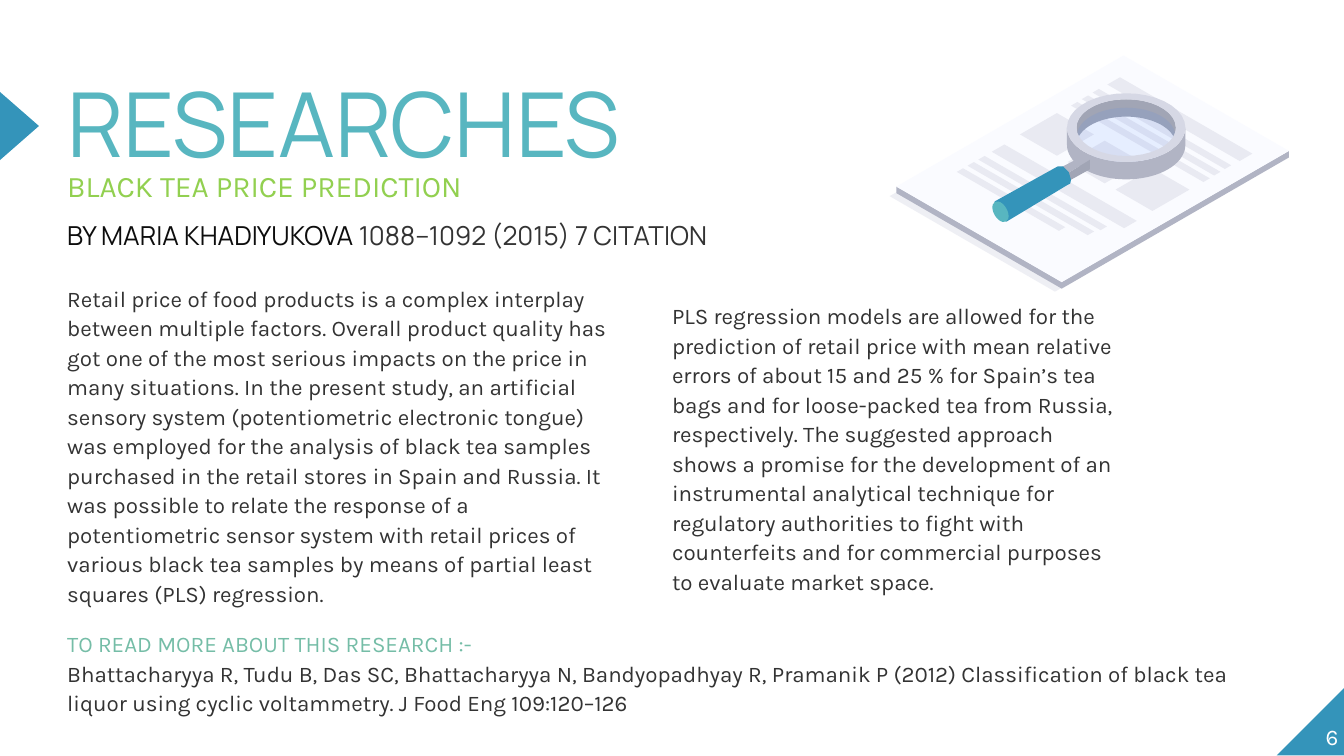
import math

import pptx
import pptx.dml.color
import pptx.enum.shapes
import pptx.enum.text
import pptx.oxml
import pptx.util
from pptx.util import Pt

COLORS = {
    "blue": "3494BA", "teal": "58B6C0", "lime": "92D050", "mint": "75BDA7",
    "black": "0D0D0D", "text": "333333", "white": "FFFFFF", "paper": "FAFBFF",
    "print": "E9EAF2", "rim": "D6D8E5", "edge": "B1B4C4", "shade": "A1A5B5",
    "glass": "3E7EFF",
}
MSO = pptx.enum.shapes.MSO_SHAPE
SLOPE = math.tan(math.radians(30))


def paint(sp, color, alpha=None):
    """Give a shape a plain fill with no line or shadow."""
    sp.shadow.inherit = False
    sp.line.fill.background()
    sp.fill.solid()
    sp.fill.fore_color.rgb = pptx.dml.color.RGBColor.from_string(COLORS[color])
    if alpha is not None:
        clr = sp.fill._xPr.find(".//" + pptx.oxml.ns.qn("a:srgbClr"))
        pptx.oxml.ns.qn("a:alpha")
        clr.append(pptx.oxml.parse_xml(
            f'<a:alpha {pptx.oxml.ns.nsdecls("a")} val="{alpha * 1000}"/>'))


def preset(s, kind, x, y, w, h, color, alpha=None, rotation=0):
    """Add a filled preset shape."""
    sp = s.shapes.add_shape(kind, Pt(x), Pt(y), Pt(w), Pt(h))
    sp.rotation = rotation
    paint(sp, color, alpha)
    return sp


def outline(s, x, y, contours, color, alpha=None):
    """Add a filled freeform whose contours are relative to x, y."""
    fb = None
    for contour in contours:
        pts = [(Pt(x + px), Pt(y + py)) for px, py in contour]
        if fb is None:
            fb = s.shapes.build_freeform(*pts[0], scale=1.0)
        else:
            fb.move_to(*pts[0])
        fb.add_line_segments(pts[1:], close=True)
    paint(fb.convert_to_shape(), color, alpha)


def iso(x, y, along, across):
    """Return an isometric parallelogram starting at its left corner."""
    return [(x, y), (x + across, y - across * SLOPE),
            (x + across + along, y + (along - across) * SLOPE),
            (x + along, y + along * SLOPE)]


def arc(cx, cy, rx, ry, start, end):
    """Return points along an ellipse between two angles in degrees."""
    n = 36
    angles = [math.radians(start + (end - start) * i / n) for i in range(n + 1)]
    return [(cx + rx * math.cos(a), cy + ry * math.sin(a)) for a in angles]


def text(s, x, y, w, h, paras, size=12, font="Karla", color="text", line=None,
         before=0, align="LEFT", anchor="TOP"):
    """Add a text box; each paragraph is a list of (text, format) runs."""
    tf = s.shapes.add_textbox(Pt(x), Pt(y), Pt(w), Pt(h)).text_frame
    tf.word_wrap = True
    tf.margin_left = tf.margin_right = tf.margin_top = tf.margin_bottom = 0
    tf.vertical_anchor = getattr(pptx.enum.text.MSO_ANCHOR, anchor)
    for i, runs in enumerate(paras):
        p = tf.add_paragraph() if i else tf.paragraphs[0]
        p.alignment = getattr(pptx.enum.text.PP_ALIGN, align)
        p.line_spacing = line
        p.space_before = Pt(runs[0][1].get("before", before))
        for content, fmt in runs:
            r = p.add_run()
            r.text = content
            r.font.size = Pt(fmt.get("size", size))
            r.font.name = fmt.get("font", font)
            r.font.color.rgb = pptx.dml.color.RGBColor.from_string(
                COLORS[fmt.get("color", color)])


def heading(s, x, y, w, h):
    """Place the title, its subtitle and the author line."""
    text(s, x, y, w, h, [
        [("RESEARCHES", {"size": 48, "font": "Manrope", "color": "teal"})],
        [("BLACK TEA PRICE PREDICTION", {"size": 16, "color": "lime"})],
        [("BY MARIA KHADIYUKOVA ", {"color": "black", "before": 12}),
         ("1088–1092 (2015) 7 CITATION", {})],
    ], size=14, font="Manrope", line=0.8)
    s.shapes[-1].text_frame.paragraphs[1].runs[0].font.name = "Karla"


def column(s, x, y, w, h, content):
    """Place one column of body text."""
    text(s, x, y, w, h, [[(content, {})]], line=1.1, before=6)


def reference(s, x, y, w, h):
    """Place the further reading note."""
    text(s, x, y, w, h, [
        [("TO READ MORE ABOUT THIS RESEARCH :-", {"color": "mint"})],
        [("Bhattacharyya R, Tudu B, Das SC, Bhattacharyya N, Bandyopadhyay R, "
          "Pramanik P (2012) Classification of black tea liquor using cyclic "
          "voltammetry. J Food Eng 109:120–126", {})],
    ], line=1.1)


def corner(s, x, y, size):
    """Place the page number on its corner triangle."""
    sp = preset(s, MSO.RIGHT_TRIANGLE, x, y, size, size, "blue")
    sp._element.spPr.get_or_add_xfrm().set("flipH", "1")
    text(s, x - 3, y - 3, 36, size, [[("6", {"color": "white"})]],
         align="RIGHT", anchor="BOTTOM")


def sheet(s, x, y):
    """Draw the printed sheet lying in isometric view."""
    outline(s, x, y, [iso(0, 74.9, 88.6, 121.7)], "rim", 40)
    left, front, _, _ = iso(3.6, 69.8, 88.6, 121.7)
    paper = iso(*left, 88.6, 121.7)
    rim = [paper[0], paper[3], paper[2]]
    outline(s, x, y, [rim + [(px, py + 3.5) for px, py in reversed(rim)]], "edge")
    outline(s, x, y, [paper], "paper")
    bars = [(116.6, 15.1, 70.9, 6.8), (54.7, 51.1, 70.9, 6.8)]
    bars += [(108.7 - 5.75 * i, 19.4 + 3.5 * i, 70.9, 3.4) for i in range(3)]
    bars += [(47.5 - 5.75 * i, 55.3 + 3.3 * i, length, 3.4)
             for i, length in enumerate((65.5, 64.4, 54.7))]
    bars += [(69.8 + 25.6 * i, 41.8 + 14.8 * i, 19.8, 19.8) for i in range(3)]
    for bar in bars:
        outline(s, x, y, [iso(*bar)], "print")


def magnifier(s, x, y):
    """Draw the magnifying glass around its lens centre."""
    outer, inner, depth = (31.7, 18.4), (26.6, 15.2), 9.3
    outline(s, x, y, [arc(0, 0, *inner, 180, 360)
                      + arc(0, depth, *inner, 360, 180)], "shade")
    preset(s, MSO.OVAL, x - 26.3, y - 10.7, 52.6, 30.2, "glass", 10)
    outline(s, x, y, [arc(0, depth, *outer, 0, 180)
                      + arc(0, 0, *outer, 180, 0)], "edge")
    outline(s, x, y, [arc(0, 0, *outer, 0, 360),
                      arc(0, 0, *inner, 360, 0)], "rim")
    outline(s, x, y, [[(-19.4, 17.2), (-32.4, 25.2), (-36.7, 22.3),
                       (-23, 15.1)]], "edge")
    outline(s, x, y, [[(-19.4, 22.3), (-32.4, 29.5), (-32.4, 25.2),
                       (-19.4, 17.2)]], "shade")
    outline(s, x, y, [[(-29.5, 28), (-30.7, 23.8), (-33.7, 20.8), (-36.7, 20.8),
                       (-70.5, 39.6), (-64.1, 50.4), (-31.7, 30.9),
                       (-29.9, 30)]], "blue")
    preset(s, MSO.OVAL, x - 70.9, y + 38.9, 7.2, 12.2, "teal", rotation=-30)


def illustration(s, x, y):
    """Place the sheet with the magnifier on top."""
    sheet(s, x, y)
    magnifier(s, x + 126.7, y + 38.2)


def main():
    """Build the slide and save it."""
    prs = pptx.Presentation()
    prs.slide_width, prs.slide_height = Pt(720), Pt(405)
    s = prs.slides.add_slide(prs.slide_layouts[6])
    corner(s, 684, 368, 36.7)
    preset(s, MSO.ISOSCELES_TRIANGLE, -8, 57, 36.7, 21, "blue", rotation=90)
    heading(s, 36, 47.5, 444, 85)
    column(s, 360, 160.5, 240, 168,
           "PLS regression models are allowed for the prediction of retail price "
           "with mean relative errors of about 15 and 25 % for Spain’s tea bags "
           "and for loose-packed tea from Russia, respectively. The suggested "
           "approach shows a promise for the development of an instrumental "
           "analytical technique for regulatory authorities to fight with "
           "counterfeits and for commercial purposes to evaluate market space.")
    column(s, 36, 151.2, 300, 168,
           "Retail price of food products is a complex interplay between multiple "
           "factors. Overall product quality has got one of the most serious "
           "impacts on the price in many situations. In the present study, an "
           "artificial sensory system (potentiometric electronic tongue) was "
           "employed for the analysis of black tea samples purchased in the retail "
           "stores in Spain and Russia. It was possible to relate the response of "
           "a potentiometric sensor system with retail prices of various black tea "
           "samples by means of partial least squares (PLS) regression.")
    reference(s, 36, 336.2, 648, 49)
    illustration(s, 476.6, 30.2)


    prs.save("out.pptx")


if __name__ == "__main__":
    main()
